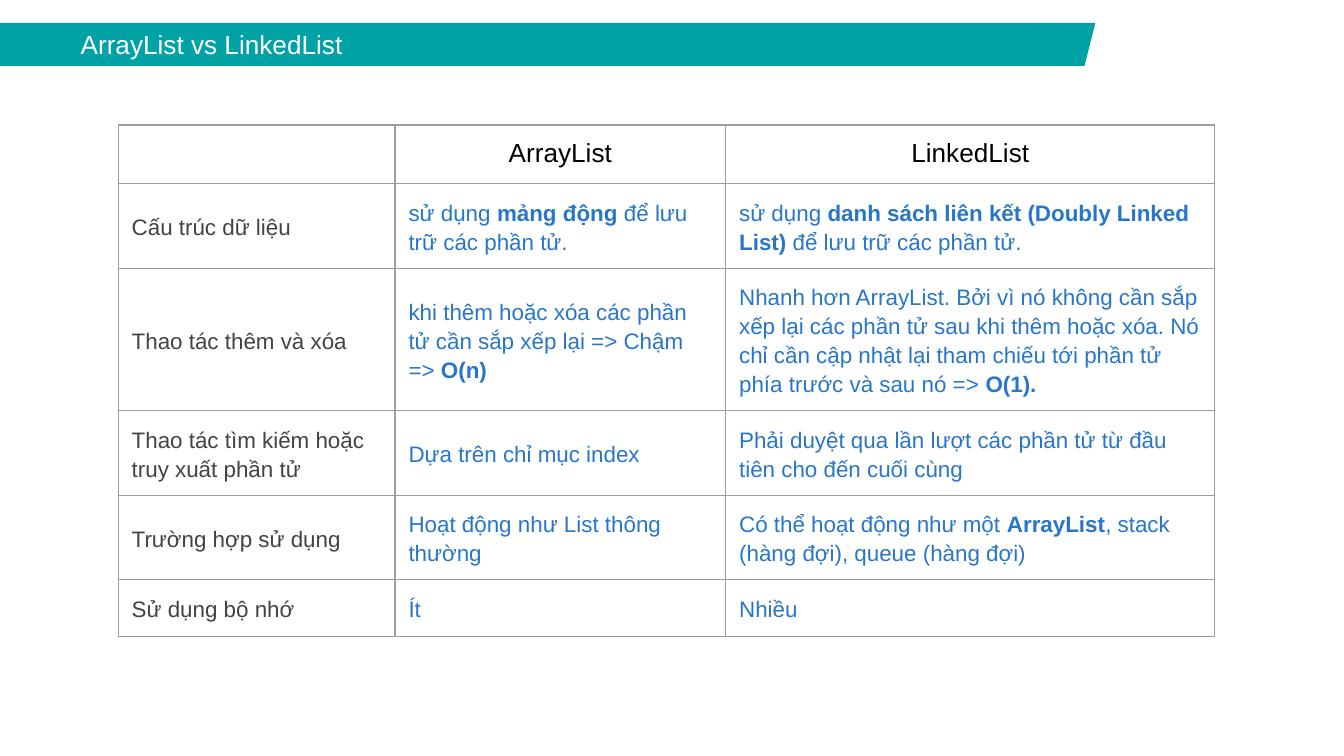
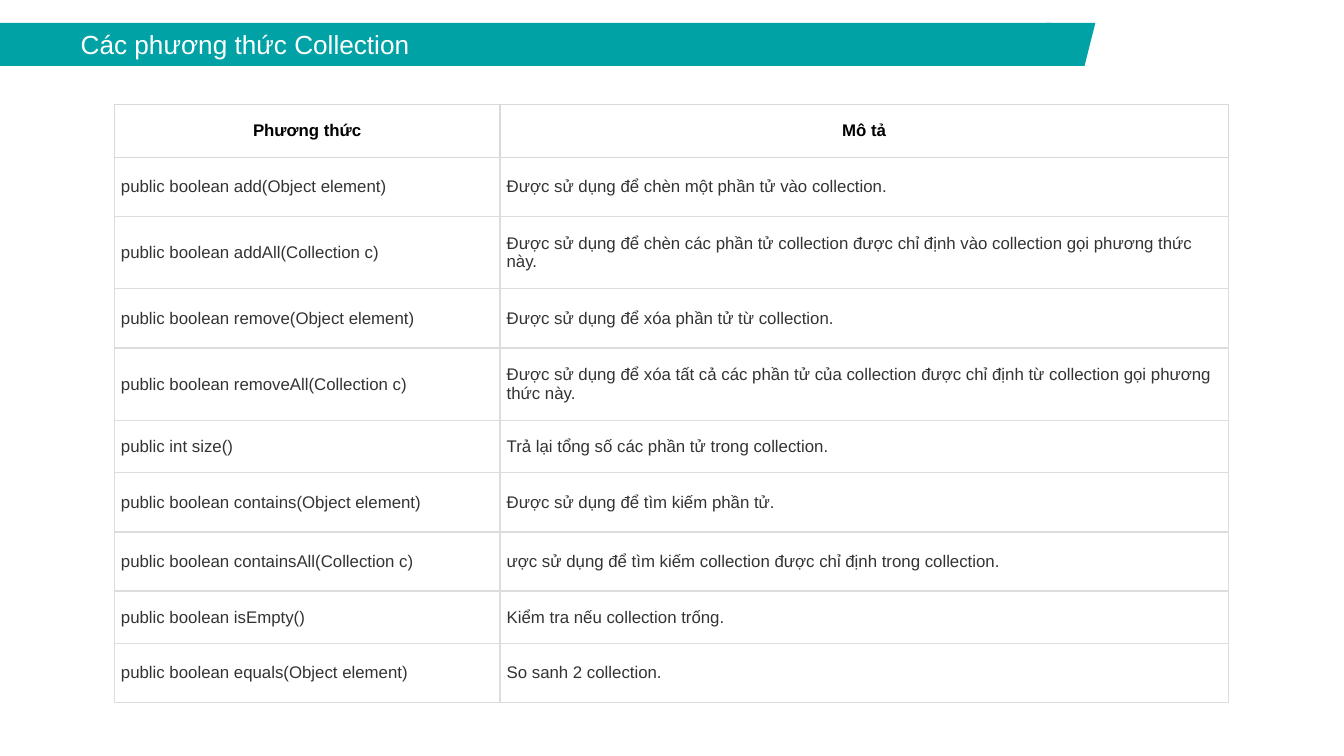
import dataclasses

import pptx
import pptx.dml.color
import pptx.enum.shapes
import pptx.enum.text
import pptx.oxml
import pptx.oxml.ns
import pptx.util

Inches = pptx.util.Inches
Pt = pptx.util.Pt
Align = pptx.enum.text.PP_ALIGN
Anchor = pptx.enum.text.MSO_ANCHOR


@dataclasses.dataclass(frozen=True)
class Theme:
    font: str = "Arial"
    teal: str = "01A2A6"
    white: str = "FFFFFF"
    black: str = "000000"
    label: str = "434343"
    blue: str = "2876C9"
    body: str = "333333"
    grey_line: str = "9E9E9E"
    pale_line: str = "DDDDDD"
    header_line: str = "D9D9D9"
    title_size: float = 14
    compare_size: float = 12
    method_size: float = 9
    line_width: float = 0.75


@dataclasses.dataclass(frozen=True)
class CellStyle:
    color: str
    size: float
    line: str
    margin: float
    anchor: object = Anchor.MIDDLE
    align: object = Align.LEFT
    bold: bool = False
    line_spacing: float = 1.0
    space_after: float = 0


def rgb(color):
    return pptx.dml.color.RGBColor.from_string(color)


def assign(target, values):
    for name, value in values.items():
        setattr(target, name, value)


class DeckBuilder:
    def __init__(self, theme):
        self.theme = theme
        self.deck = pptx.Presentation()
        # Widescreen, 16 by 9
        assign(self.deck, {"slide_width": Inches(10),
                           "slide_height": Inches(10) * 9 // 16})
        self.page = None

    def add_page(self, title):
        """Start a title-only slide with the teal title band."""
        self.page = self.deck.slides.add_slide(self.deck.slide_layouts[5])
        self.title_band(title)
        self.band_tip()

    def paint(self, shape):
        shape.fill.solid()
        shape.fill.fore_color.rgb = rgb(self.theme.teal)
        shape.line.fill.background()

    def write_span(self, para, text, color, size, bold=False):
        span = para.add_run()
        span.text = text
        assign(span.font, {"name": self.theme.font, "size": Pt(size), "bold": bold})
        span.font.color.rgb = rgb(color)

    def title_band(self, text):
        box = self.page.shapes.title
        assign(box, {"left": Inches(0), "top": Inches(0.17),
                     "width": Inches(7.82), "height": Inches(0.32)})
        self.paint(box)
        frame = box.text_frame
        assign(frame, {
            "margin_left": Inches(0.1), "margin_right": Inches(0.1),
            "margin_top": Inches(0.1), "margin_bottom": Inches(0.1),
            "vertical_anchor": Anchor.MIDDLE, "word_wrap": True,
            "auto_size": pptx.enum.text.MSO_AUTO_SIZE.NONE})
        para = frame.paragraphs[0]
        para.alignment = Align.LEFT
        indent = para._p.get_or_add_pPr()
        indent.set("marL", "0")
        indent.set("indent", str(Inches(0.5)))
        self.write_span(para, text, self.theme.white, self.theme.title_size)

    def band_tip(self):
        tip = self.page.shapes.add_shape(
            pptx.enum.shapes.MSO_SHAPE.PARALLELOGRAM,
            Inches(7.7), Inches(0.17), Inches(0.45), Inches(0.32))
        tip.adjustments[0] = 0.25
        tip.shadow.inherit = False
        self.paint(tip)

    def table(self, left, top, widths, heights, rows, header, columns):
        """Draw a table; the first row uses header, the rest a style per column."""
        table = self.page.shapes.add_table(
            len(rows), len(widths), Inches(left), Inches(top),
            Inches(sum(widths)), Inches(sum(heights))).table
        assign(table, {"first_row": False, "horz_banding": False})
        for column, width in zip(table.columns, widths):
            column.width = Inches(width)
        for row, height in zip(table.rows, heights):
            row.height = Inches(height)
        for r, texts in enumerate(rows):
            for c, text in enumerate(texts):
                style = columns[c] if r else header
                top_line = header.line if r < 2 else style.line
                self.cell(table.cell(r, c), text, style, top_line)

    def cell(self, cell, text, style, top_line):
        """Fill one cell; ** switches bold and a line break starts a paragraph."""
        margin = Inches(style.margin)
        assign(cell, {"margin_left": margin, "margin_right": margin,
                      "margin_top": margin, "margin_bottom": margin,
                      "vertical_anchor": style.anchor})
        self.borders(cell, style.line, top_line)
        cell.fill.background()
        frame = cell.text_frame
        if not text:
            self.size_empty(frame.paragraphs[0], style.size)
            return
        for index, line in enumerate(text.split("\n")):
            para = frame.add_paragraph() if index else frame.paragraphs[0]
            assign(para, {"alignment": style.align,
                          "line_spacing": style.line_spacing,
                          "space_after": Pt(style.space_after)})
            for part, words in enumerate(line.split("**")):
                if words:
                    bold = style.bold or part % 2 == 1
                    self.write_span(para, words, style.color, style.size, bold)

    def size_empty(self, para, size):
        """Keep an empty cell from stretching its row."""
        namespace = pptx.oxml.ns.nsdecls("a")
        para._p.append(pptx.oxml.parse_xml(
            f'<a:endParaRPr {namespace} sz="{size * 100}"/>'))

    def borders(self, cell, color, top_color):
        properties = cell._tc.get_or_add_tcPr()
        namespace = pptx.oxml.ns.nsdecls("a")
        for side in "LRTB":
            shade = top_color if side == "T" else color
            properties.append(pptx.oxml.parse_xml(
                f'<a:ln{side} {namespace} w="{Pt(self.theme.line_width)}">'
                f'<a:solidFill><a:srgbClr val="{shade}"/></a:solidFill>'
                f'</a:ln{side}>'))


theme = Theme()
builder = DeckBuilder(theme)

# Slide 1: list comparison
compare_header = CellStyle(theme.black, theme.title_size, theme.grey_line, 0.1,
                           anchor=Anchor.TOP, align=Align.CENTER)
compare_label = CellStyle(theme.label, theme.compare_size, theme.grey_line, 0.1,
                          line_spacing=1.15)
compare_value = dataclasses.replace(compare_label, color=theme.blue)
comparison = [
    ("", "ArrayList", "LinkedList"),
    ("Cấu trúc dữ liệu",
     "sử dụng **mảng động **để lưu trữ các phần tử.",
     "sử dụng **danh sách liên kết (Doubly Linked List) **để lưu trữ các phần tử."),
    ("Thao tác thêm và xóa",
     "khi thêm hoặc xóa các phần tử cần sắp xếp lại => Chậm \n=> **O(n)**",
     "Nhanh hơn ArrayList. Bởi vì nó không cần sắp xếp lại các phần tử sau khi "
     "thêm hoặc xóa. Nó chỉ cần cập nhật lại tham chiếu tới phần tử phía trước "
     "và sau nó => **O(1).**"),
    ("Thao tác tìm kiếm hoặc truy xuất phần tử",
     "Dựa trên chỉ mục index",
     "Phải duyệt qua lần lượt các phần tử từ đầu tiên cho đến cuối cùng"),
    ("Trường hợp sử dụng",
     "Hoạt động như List thông thường",
     "Có thể hoạt động như một **ArrayList**, stack (hàng đợi), queue (hàng đợi)"),
    ("Sử dụng bộ nhớ", "Ít", "Nhiều"),
]
builder.add_page("ArrayList vs LinkedList")
builder.table(0.88, 0.93, [2.06, 2.46, 3.64], [0.43] + [0.42] * 5, comparison,
              compare_header, [compare_label, compare_value, compare_value])

# Slide 2: Collection methods
method_body = CellStyle(theme.body, theme.method_size, theme.pale_line, 0.05,
                        space_after=11)
method_header = dataclasses.replace(method_body, color=theme.black, bold=True,
                                    line=theme.header_line, align=Align.CENTER)
methods = [
    ("Phương thức", "Mô tả"),
    ("public boolean add(Object element)",
     "Được sử dụng để chèn một phần tử vào collection."),
    ("public boolean addAll(Collection c)",
     "Được sử dụng để chèn các phần tử collection được chỉ định vào collection "
     "gọi phương thức này."),
    ("public boolean remove(Object element)",
     "Được sử dụng để xóa phần tử từ collection."),
    ("public boolean removeAll(Collection c)",
     "Được sử dụng để xóa tất cả các phần tử của collection được chỉ định từ "
     "collection gọi phương thức này."),
    ("public int size()", "Trả lại tổng số các phần tử trong collection."),
    ("public boolean contains(Object element)",
     "Được sử dụng để tìm kiếm phần tử."),
    ("public boolean containsAll(Collection c)",
     "ược sử dụng để tìm kiếm collection được chỉ định trong collection."),
    ("public boolean isEmpty()", "Kiểm tra nếu collection trống."),
    ("public boolean equals(Object element)", "So sanh 2 collection."),
]
short, normal, tall = 0.39, 0.44, 0.54
builder.add_page("Các phương thức Collection")
builder.table(0.85, 0.78, [2.87, 5.42],
              [short, normal, tall, normal, tall, short, normal, normal, short, normal],
              methods, method_header, [method_body, method_body])

builder.deck.save("out.pptx")
